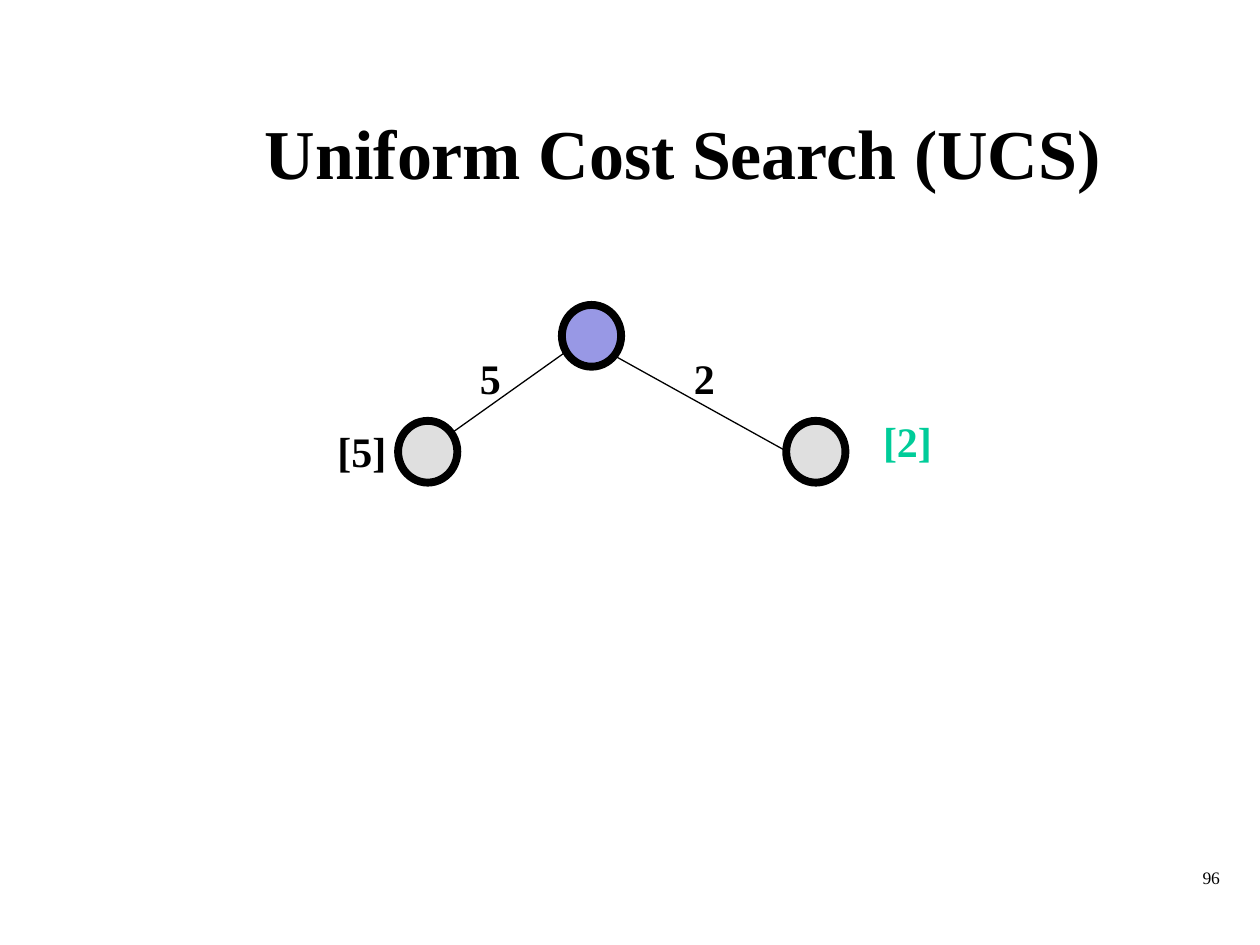
from lxml.etree import SubElement
from pptx import Presentation
from pptx.dml.color import RGBColor
from pptx.enum.shapes import MSO_CONNECTOR as Connector, MSO_SHAPE as Shape
from pptx.enum.text import MSO_ANCHOR as Anchor, PP_ALIGN as Align
from pptx.oxml.ns import qn
from pptx.util import Inches, Pt


def color(value):
    return RGBColor.from_string(value)


def add_text(page, text, place, size, bold=True, ink="000000",
             align=Align.LEFT, anchor=Anchor.TOP, wrap=False):
    box = page.shapes.add_textbox(*map(Inches, place))
    frame = box.text_frame
    frame.word_wrap = wrap
    frame.vertical_anchor = anchor
    para = frame.paragraphs[0]
    para.alignment = align
    span = para.add_run()
    span.text = text
    span.font.color.rgb = color(ink)
    font_format = {"name": "Times New Roman", "size": Pt(size), "bold": bold}
    for name, value in font_format.items():
        setattr(span.font, name, value)


deck = Presentation()
deck.slide_width, deck.slide_height = Inches(10), Inches(7.5)
page = deck.slides.add_slide(deck.slide_layouts[6])

add_text(page, "96", (7.7, 6.83, 2.08, 0.5), 10, bold=False,
         align=Align.RIGHT, wrap=True)
add_text(page, "Uniform Cost Search (UCS)", (1.17, 0.58, 8.5, 1.25), 40,
         align=Align.CENTER, anchor=Anchor.MIDDLE, wrap=True)

nodes = [(4.46, 2.42, "3333CC"), (3.16, 3.34, "C0C0C0"), (6.24, 3.34, "C0C0C0")]
for left, top, tint in nodes:
    node = page.shapes.add_shape(
        Shape.OVAL, Inches(left), Inches(top), Inches(0.47), Inches(0.49))
    node.shadow.inherit = False
    node.fill.solid()
    node.fill.fore_color.rgb = color(tint)
    tint_xml = node.fill._xPr.find(qn("a:solidFill")).find(qn("a:srgbClr"))
    SubElement(tint_xml, qn("a:alpha")).set("val", "50000")
    node.line.color.rgb = color("000000")
    node.line.width = Pt(4.5)

edges = [(4.48, 2.8, 3.58, 3.44), (4.87, 2.82, 6.24, 3.58)]
for ends in edges:
    edge = page.shapes.add_connector(Connector.STRAIGHT, *map(Inches, ends))
    edge.line.color.rgb = color("000000")
    edge.line.width = Pt(0.75)
    SubElement(edge._element.spPr, qn("a:effectLst"))

labels = [
    ("2", 5.41, 2.75, 0.37, "000000"),
    ("5", 3.71, 2.75, 0.37, "000000"),
    ("[5]", 2.58, 3.33, 0.59, "000000"),
    ("[2]", 6.91, 3.25, 0.59, "00CC99"),
]
for text, left, top, width, ink in labels:
    add_text(page, text, (left, top, width, 0.5), 24, ink=ink)

deck.save("out.pptx")
